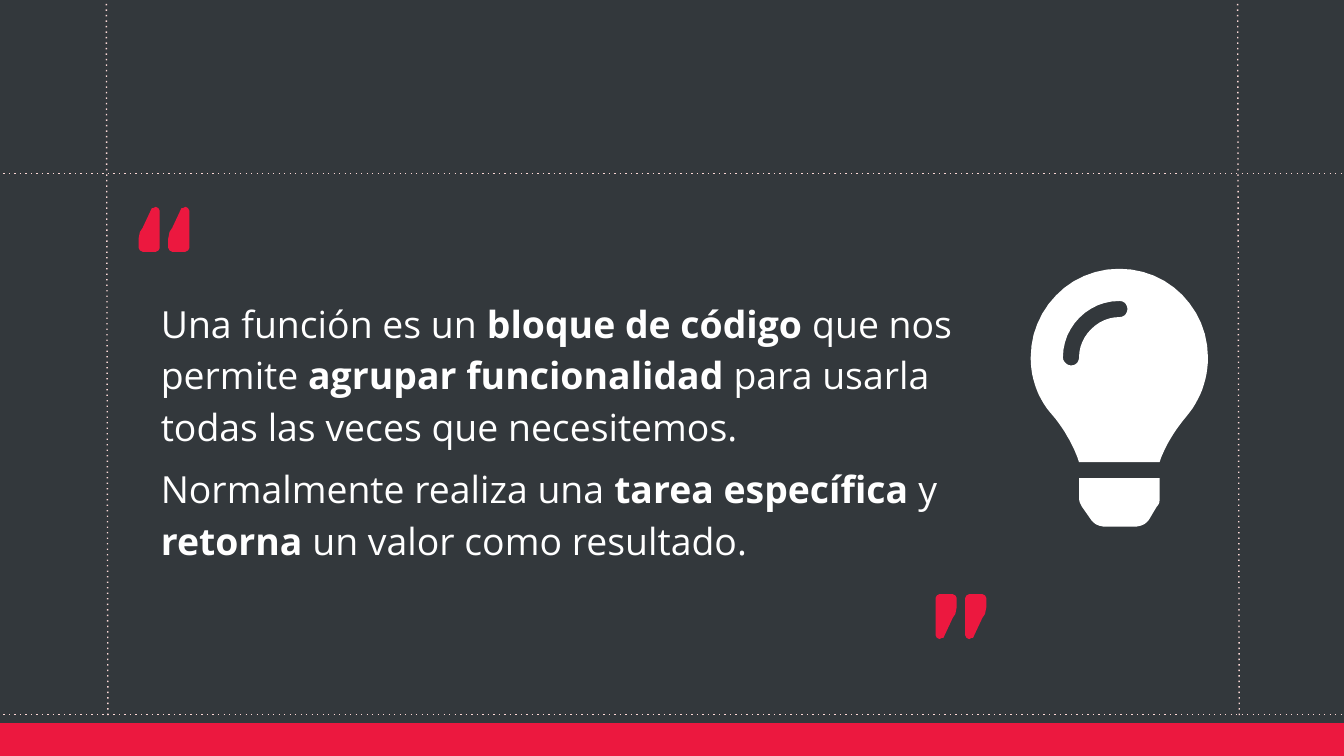
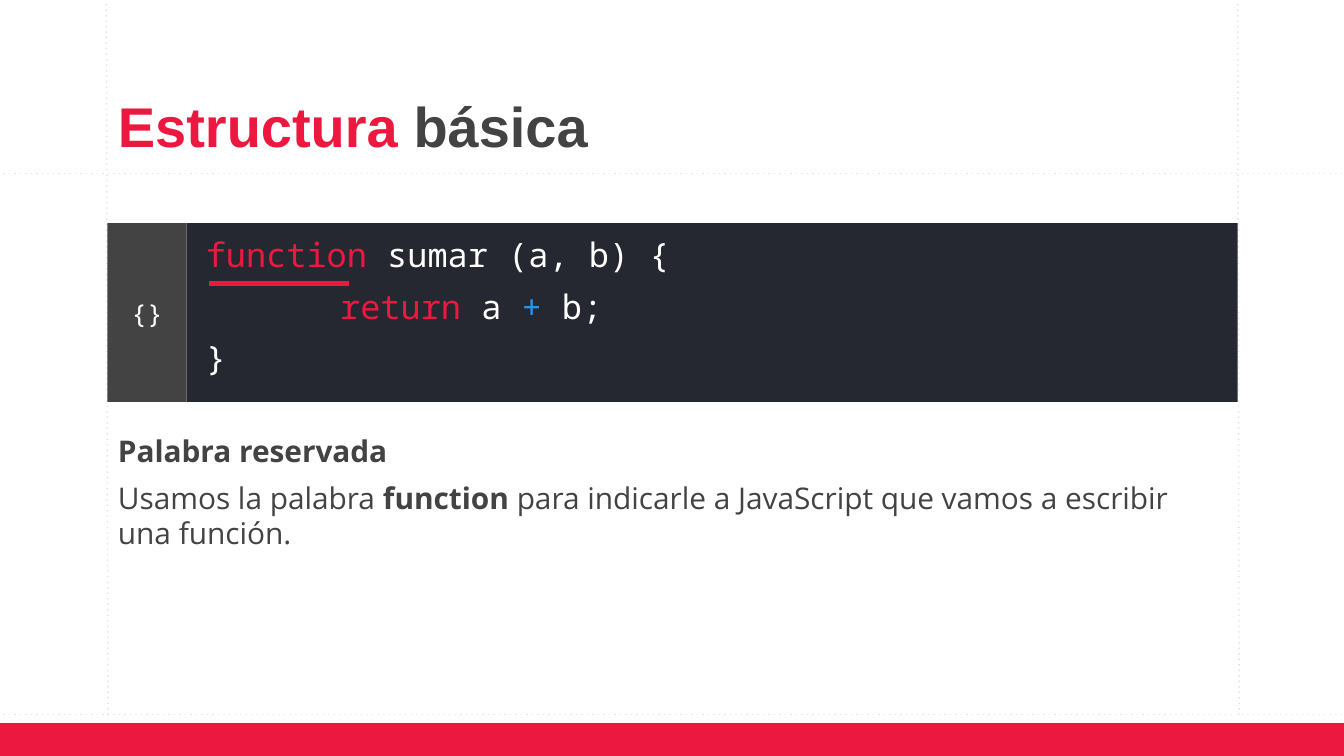
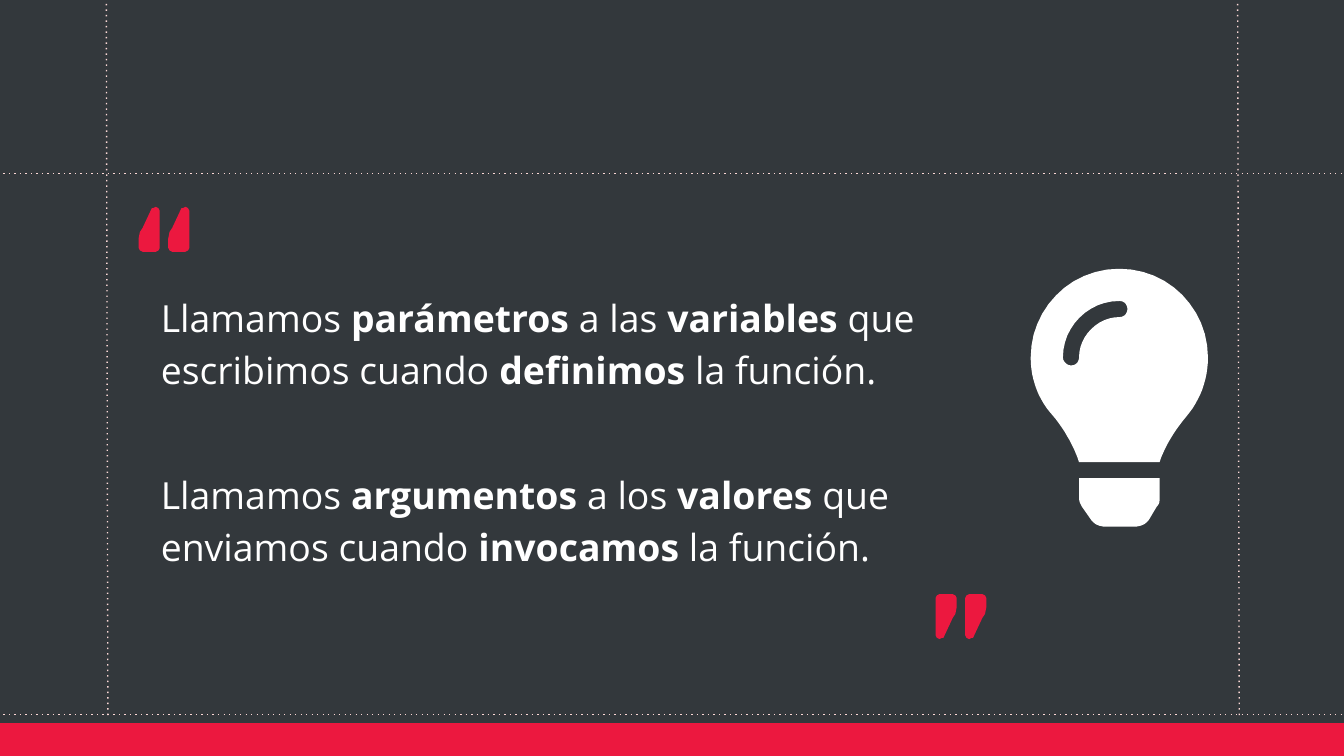
from lxml.etree import SubElement
from pptx import Presentation
from pptx.dml.color import RGBColor
from pptx.enum.shapes import MSO_CONNECTOR, MSO_SHAPE
from pptx.enum.text import MSO_ANCHOR, PP_ALIGN
from pptx.oxml.ns import qn
from pptx.util import Cm, Pt

COLORS = {
    "dark": "33383C",
    "white": "FFFFFF",
    "red": "EC183F",
    "guide": "FCD8D6",
    "gray": "434343",
    "code": "262831",
    "blue": "2196F3",
}
BODY_FONT, TITLE_FONT, CODE_FONT = "Open Sans", "Arial", "Noto Sans Mono"

# Outlines are lists of steps: one point is a line, three points are a Bézier curve.
BULB_GRID = 132
BULB_BASE = [
    [(36, 171)], [(36, 173), (37, 175), (38, 177)], [(45, 187)],
    [(47, 190), (51, 192), (55, 192)], [(78, 192)],
    [(82, 192), (86, 190), (88, 187)], [(94, 177)],
    [(96, 175), (96, 173), (96, 171)], [(96, 156)], [(36, 156)],
]
BULB_GLASS = [
    [(0, 66)], [(0, 83), (6, 98), (17, 110)], [(23, 117), (32, 131), (36, 144)],
    [(96, 144)], [(100, 131), (110, 117), (116, 110)],
    [(126, 98), (132, 83), (132, 66)], [(132, 30), (103, 0), (66, 0)],
    [(28, 0), (0, 31), (0, 66)],
]
BULB_SHINE = [
    [(66, 36)], [(50, 36), (36, 50), (36, 66)], [(36, 69), (34, 72), (30, 72)],
    [(27, 72), (24, 69), (24, 66)], [(24, 43), (43, 24), (66, 24)],
    [(70, 24), (72, 27), (72, 30)], [(72, 33), (70, 36), (66, 36)],
]
QUOTE_GRID = 16
QUOTE_MARK = [[point] for point in (
    (13, 0), (11, 1), (10, 1), (3, 16), (1, 19), (0, 24), (0, 31), (1, 33),
    (3, 34), (13, 34), (15, 33), (16, 31), (16, 3), (15, 1),
)]


def rgb(name):
    return RGBColor.from_string(COLORS[name])


def paint(shape, color):
    shape.shadow.inherit = False
    shape.fill.solid()
    shape.fill.fore_color.rgb = rgb(color)
    shape.line.fill.background()


def add_panel(slide, left, top, width, height, color):
    panel = slide.shapes.add_shape(MSO_SHAPE.RECTANGLE, left, top, width, height)
    paint(panel, color)
    return panel


def add_line(slide, start, end, color, width, dash=None):
    line = slide.shapes.add_connector(MSO_CONNECTOR.STRAIGHT, *start, *end)
    line.line.color.rgb = rgb(color)
    line.line.width = Pt(width)
    properties = line._element.spPr
    if dash:
        SubElement(properties.find(qn("a:ln")), qn("a:prstDash"), val=dash)
    SubElement(properties, qn("a:effectLst"))


def flatten(steps, pieces=12):
    """Turn the steps of an outline into a list of points."""
    points = []
    for step in steps:
        if len(step) == 1:
            points += step
            continue
        corners = [points[-1], *step]
        for piece in range(1, pieces + 1):
            t = piece / pieces
            weights = ((1 - t) ** 3, 3 * t * (1 - t) ** 2, 3 * t * t * (1 - t), t ** 3)
            points.append(tuple(
                sum(weight * corner[axis] for weight, corner in zip(weights, corners))
                for axis in (0, 1)
            ))
    return points


def add_outline(slide, left, top, width, grid, contours, color):
    """Draw contours given on a grid that is `grid` units wide."""
    fineness = 10
    paths = [[(x * fineness, y * fineness) for x, y in flatten(steps)] for steps in contours]
    builder = slide.shapes.build_freeform(*paths[0][0], scale=width / (grid * fineness))
    for number, path in enumerate(paths):
        if number:
            builder.move_to(*path[0])
        builder.add_line_segments(path[1:], close=True)
    shape = builder.convert_to_shape(left, top)
    paint(shape, color)
    return shape


def set_up_frame(shape, anchor, insets):
    frame = shape.text_frame
    frame.word_wrap = True
    frame.vertical_anchor = anchor
    (frame.margin_left, frame.margin_top,
     frame.margin_right, frame.margin_bottom) = [Cm(inset) for inset in insets]
    return frame


def add_text_box(slide, left, top, width, height, anchor, insets):
    box = slide.shapes.add_textbox(left, top, width, height)
    return set_up_frame(box, anchor, insets)


def add_paragraph(frame, font, size, before=0, spacing=None, align=PP_ALIGN.LEFT):
    first = frame.paragraphs[0]
    paragraph = frame.add_paragraph() if first.runs else first
    paragraph.font.name = font
    paragraph.font.size = Pt(size)
    paragraph.space_before = Pt(before)
    paragraph.line_spacing = spacing
    paragraph.alignment = align
    return paragraph


def add_colored_runs(paragraph, runs):
    for text, color in runs:
        run = paragraph.add_run()
        run.text = text
        run.font.color.rgb = rgb(color)


def add_marked_text(paragraph, text, color):
    """Write text in which asterisks enclose the bold words."""
    paragraph.font.color.rgb = rgb(color)
    for number, part in enumerate(text.split("*")):
        if part:
            run = paragraph.add_run()
            run.text = part
            run.font.bold = number % 2 == 1


def add_framed_slide(presentation, background):
    """Add a slide with its background, dotted guides and bottom band."""
    slide = presentation.slides.add_slide(presentation.slide_layouts[6])
    slide.background.fill.solid()
    slide.background.fill.fore_color.rgb = rgb(background)
    for x in (2.01, 23.39):
        add_line(slide, (Cm(x), Cm(-0.03)), (Cm(x + 0.03), Cm(13.54)), "guide", 0.75, "dot")
    for y in (3.28, 13.51):
        add_line(slide, (Cm(-0.04), Cm(y)), (Cm(25.46), Cm(y)), "guide", 0.75, "dot")
    add_panel(slide, Cm(-0.05), Cm(13.67), Cm(25.48), Cm(0.69), "red")
    return slide


def add_quote_marks(slide, left, top, rotation=0):
    for number in range(2):
        mark = add_outline(slide, left + number * Cm(0.56), top, Cm(0.4),
                           QUOTE_GRID, [QUOTE_MARK], "red")
        mark.rotation = rotation


def add_quote(slide, left, top, texts, gap):
    """Place a quotation between its marks, with `gap` points between paragraphs."""
    add_quote_marks(slide, left, top)
    add_quote_marks(slide, left + Cm(15.06), top + Cm(7.32), rotation=180)
    frame = add_text_box(slide, left + Cm(0.17), top + Cm(1.37), Cm(16.48), Cm(5.64),
                         MSO_ANCHOR.MIDDLE, (0.25, 0.13, 0.25, 0.13))
    for number, text in enumerate(texts):
        paragraph = add_paragraph(frame, BODY_FONT, 20, gap if number else 6, 1.15)
        add_marked_text(paragraph, text, "white")


def add_quote_slide(presentation, texts, gap):
    slide = add_framed_slide(presentation, "dark")
    add_quote(slide, Cm(2.62), Cm(3.91), texts, gap)
    add_outline(slide, Cm(19.48), Cm(5.08), Cm(3.35), BULB_GRID,
                [BULB_BASE, BULB_GLASS, BULB_SHINE], "white")


def add_title(slide, left, top, runs):
    frame = add_text_box(slide, left, top, Cm(21.41), Cm(1.75),
                         MSO_ANCHOR.BOTTOM, [0.25] * 4)
    paragraph = add_paragraph(frame, TITLE_FONT, 30, spacing=0.9)
    paragraph.font.bold = True
    add_colored_runs(paragraph, runs)


def add_code_block(slide, left, top, lines):
    """Place code lines, each a pair of indent level and coloured runs."""
    tab_width, height = Cm(1.5), Cm(3.38)
    panel = add_panel(slide, left + tab_width, top, Cm(19.86), height, "code")
    frame = set_up_frame(panel, MSO_ANCHOR.MIDDLE, (0.36, 0, 0.25, 0.25))
    for level, runs in lines:
        paragraph = add_paragraph(frame, CODE_FONT, 18, before=6)
        paragraph._p.get_or_add_pPr().set("marL", str(level * Cm(2.54)))
        add_colored_runs(paragraph, runs)

    tab = add_panel(slide, left, top, tab_width, height, "gray")
    frame = set_up_frame(tab, MSO_ANCHOR.MIDDLE, [0.25] * 4)
    braces = add_paragraph(frame, CODE_FONT, 14, align=PP_ALIGN.CENTER)
    add_colored_runs(braces, [("{}", "white")])

    underline_y = top + Cm(1.14)
    add_line(slide, (left + Cm(1.93), underline_y), (left + Cm(4.57), underline_y), "red", 2.25)


def add_explanation(slide, left, top, texts):
    frame = add_text_box(slide, left, top, Cm(21.41), Cm(1.35),
                         MSO_ANCHOR.TOP, [0.25] * 4)
    for text in texts:
        add_marked_text(add_paragraph(frame, BODY_FONT, 16, before=6), text, "gray")


def add_code_slide(presentation):
    slide = add_framed_slide(presentation, "white")
    add_title(slide, Cm(1.98), Cm(1.52), [("Estructura", "red"), (" básica", "gray")])
    add_code_block(slide, Cm(2.03), Cm(4.22), [
        (0, [("function ", "red"), ("sumar (a, b) {", "white")]),
        (1, [("return ", "red"), ("a ", "white"), ("+ ", "blue"), ("b;", "white")]),
        (0, [("}", "white")]),
    ])
    add_explanation(slide, Cm(1.98), Cm(7.92), [
        "*Palabra reservada*",
        "Usamos la palabra *function* para indicarle a JavaScript que vamos a "
        "escribir una función.",
    ])


def main():
    presentation = Presentation()
    presentation.slide_width, presentation.slide_height = Cm(25.4), Cm(14.29)
    add_quote_slide(presentation, [
        "Una función es un *bloque de código *que nos permite *agrupar funcionalidad* "
        "para usarla todas las veces que necesitemos.",
        "Normalmente realiza una* tarea específica *y *retorna *un valor como resultado.",
    ], gap=6)
    add_code_slide(presentation)
    add_quote_slide(presentation, [
        "Llamamos *parámetros *a las *variables *que escribimos cuando "
        "*definimos *la función.",
        "Llamamos *argumentos *a los *valores *que enviamos cuando "
        "*invocamos *la función.",
    ], gap=39.6)
    presentation.save("out.pptx")


if __name__ == "__main__":
    main()
